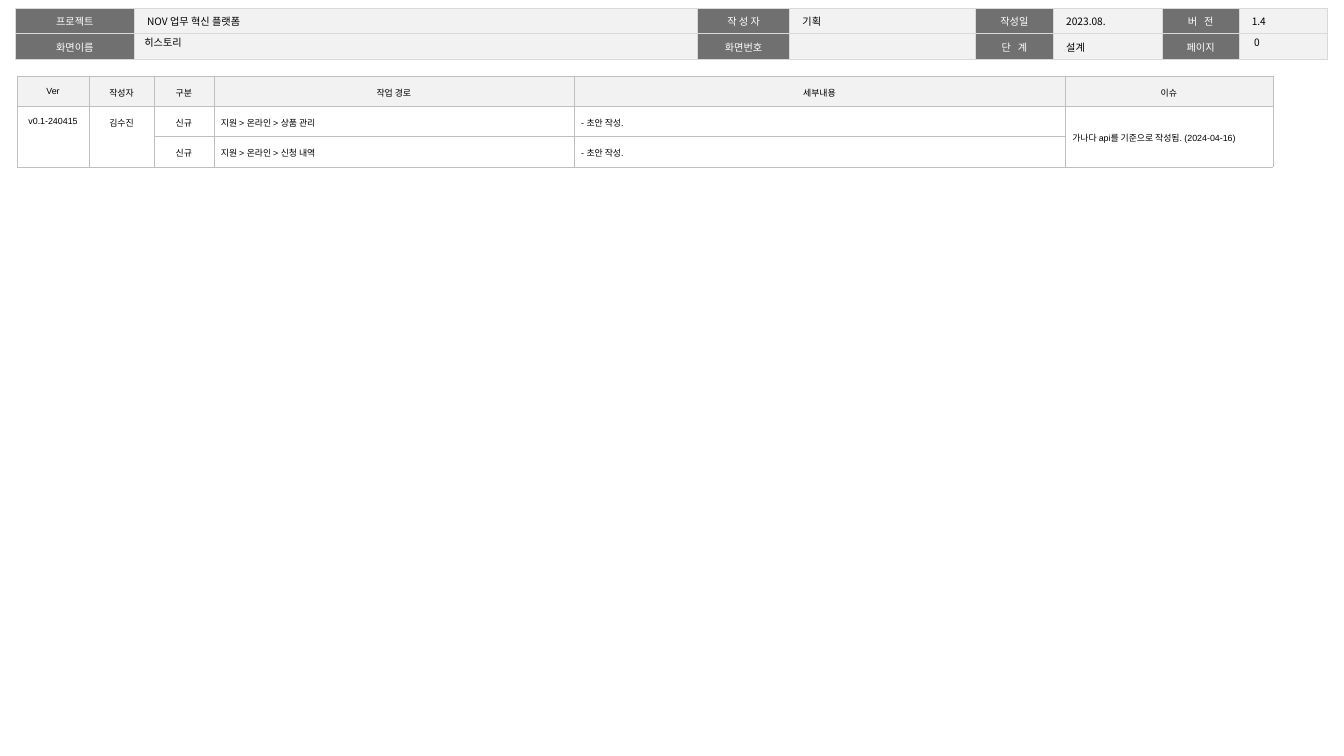
"""Build the revision history slide of a screen design document."""
from dataclasses import dataclass

from lxml.etree import SubElement
from pptx import Presentation
from pptx.dml.color import RGBColor
from pptx.enum.text import MSO_ANCHOR, PP_ALIGN
from pptx.oxml.ns import qn
from pptx.util import Pt

KOREAN_FONT = "Noto Sans CJK KR"
BLACK = RGBColor(0x00, 0x00, 0x00)
WHITE = RGBColor(0xFF, 0xFF, 0xFF)
LABEL_GRAY = RGBColor(0x70, 0x70, 0x70)
PALE_GRAY = RGBColor(0xF2, 0xF2, 0xF2)
HEADER_LINE = RGBColor(0xD9, 0xD9, 0xD9)
HISTORY_LINE = RGBColor(0xBF, 0xBF, 0xBF)


@dataclass(frozen=True)
class CellStyle:
    fill: RGBColor
    color: RGBColor = BLACK
    align: PP_ALIGN = PP_ALIGN.LEFT
    open_sides: str = ""


@dataclass(frozen=True)
class Grid:
    left: float
    top: float
    widths: tuple[float, ...]
    row_height: float
    rows: tuple[tuple[str, ...], ...]
    font: str
    size: float
    spacing: float
    margins: tuple[float, float, float, float]
    anchor: MSO_ANCHOR
    line: RGBColor
    line_width: float


HEADER = Grid(
    12.2, 6.7, (93.6, 443.5, 72.7, 146.1, 61.6, 85.6, 60.6, 69.4), 20,
    (("프로젝트", "NOV 업무 혁신 플랫폼", "작 성 자", "기획", "작성일", "2023.08.", "버   전", "1.4"),
     ("화면이름", "", "화면번호", "", "단   계", "설계", "페이지", "")),
    KOREAN_FONT, 8, 1.05, (10, 3.6, 10, 3.6), MSO_ANCHOR.TOP, HEADER_LINE, 1)

HISTORY = Grid(
    13.3, 59.6, (56.9, 51.1, 47, 283.7, 386.8, 163.5), 23.9,
    (("Ver", "작성자", "구분", "작업 경로", "세부내용", "이슈"),
     ("v0.1-240415", "김수진", "신규", "지원 > 온라인 > 상품 관리", "- 초안 작성.",
      "가나다 api를 기준으로 작성됨. (2024-04-16)"),
     ("", "", "신규", "지원 > 온라인 > 신청 내역", "- 초안 작성.", "")),
    "Arial", 7, 1.5, (5.76, 2.88, 5.76, 5.76), MSO_ANCHOR.MIDDLE, HISTORY_LINE, 0.25)


def header_style(row: int, col: int) -> CellStyle:
    """Alternate dark labels with pale values."""
    if col % 2 == 0:
        return CellStyle(LABEL_GRAY, WHITE, PP_ALIGN.CENTER)
    return CellStyle(PALE_GRAY)


def history_style(row: int, col: int) -> CellStyle:
    """Shade the heading row and leave version cells open between entries."""
    if row == 0:
        return CellStyle(PALE_GRAY, align=PP_ALIGN.CENTER)
    align = PP_ALIGN.CENTER if col < 3 else PP_ALIGN.LEFT
    open_sides = ("B" if row == 1 else "T") if col < 2 else ""
    return CellStyle(WHITE, align=align, open_sides=open_sides)


def format_text(p, text: str, font: str, size: float, color: RGBColor) -> None:
    """Write one paragraph with Latin and Korean fonts."""
    p.text = text
    if not text:
        SubElement(p._p, qn("a:endParaRPr"), sz=str(int(size * 100)))
    for r in p.runs:
        r.font.name = font
        r.font.size = Pt(size)
        r.font.bold = False
        r.font.color.rgb = color
        SubElement(r.font._element, qn("a:ea"), typeface=KOREAN_FONT)


def set_borders(cell, color: RGBColor, width: float, open_sides: str) -> None:
    """Outline a cell except on its open sides."""
    props = cell._tc.get_or_add_tcPr()
    for i, side in enumerate("LRTB"):
        ln = SubElement(props, qn(f"a:ln{side}"), w=str(Pt(width)))
        props.insert(i, ln)
        if side in open_sides:
            SubElement(ln, qn("a:noFill"))
        else:
            fill = SubElement(ln, qn("a:solidFill"))
            SubElement(fill, qn("a:srgbClr"), val=str(color))


def add_grid(s, grid: Grid, style_at):
    """Draw a table and return it."""
    frame = s.shapes.add_table(
        len(grid.rows), len(grid.widths), Pt(grid.left), Pt(grid.top),
        Pt(sum(grid.widths)), Pt(grid.row_height * len(grid.rows)))
    table = frame.table
    table.first_row = table.horz_banding = False
    for column, width in zip(table.columns, grid.widths):
        column.width = Pt(width)
    for i, texts in enumerate(grid.rows):
        table.rows[i].height = Pt(grid.row_height)
        for j, text in enumerate(texts):
            cell, style = table.cell(i, j), style_at(i, j)
            cell.fill.solid()
            cell.fill.fore_color.rgb = style.fill
            set_borders(cell, grid.line, grid.line_width, style.open_sides)
            (cell.margin_left, cell.margin_top,
             cell.margin_right, cell.margin_bottom) = map(Pt, grid.margins)
            cell.vertical_anchor = grid.anchor
            p = cell.text_frame.paragraphs[0]
            p.alignment = style.align
            p.line_spacing = grid.spacing
            format_text(p, text, grid.font, grid.size, style.color)
    return table


def place_label(sp, text: str, left: float, width: float, inset: float) -> None:
    """Place a value in the second header row."""
    sp.left, sp.top, sp.width, sp.height = map(Pt, (left, 27.4, width, 11.5))
    tf = sp.text_frame
    tf.word_wrap = True
    tf.vertical_anchor = MSO_ANCHOR.MIDDLE
    tf.margin_left = tf.margin_right = Pt(inset)
    tf.margin_top = tf.margin_bottom = Pt(3.6)
    p = tf.paragraphs[0]
    p.alignment = PP_ALIGN.LEFT
    p.line_spacing = 1.0
    format_text(p, text, KOREAN_FONT, 8, BLACK)


def main() -> None:
    """Build and save the slide."""
    prs = Presentation()
    prs.slide_width, prs.slide_height = Pt(1058.4), Pt(595.44)
    s = prs.slides.add_slide(prs.slide_layouts[5])
    add_grid(s, HEADER, header_style)
    place_label(s.shapes.add_textbox(0, 0, 0, 0), "0", 980.6, 51.8, 7.2)
    title = s.shapes.title
    title.element.getparent().append(title.element)
    place_label(title, "히스토리", 105.8, 390.2, 7.9)
    history = add_grid(s, HISTORY, history_style)
    history.cell(1, 5).merge(history.cell(2, 5))
    prs.save("out.pptx")


if __name__ == "__main__":
    main()
